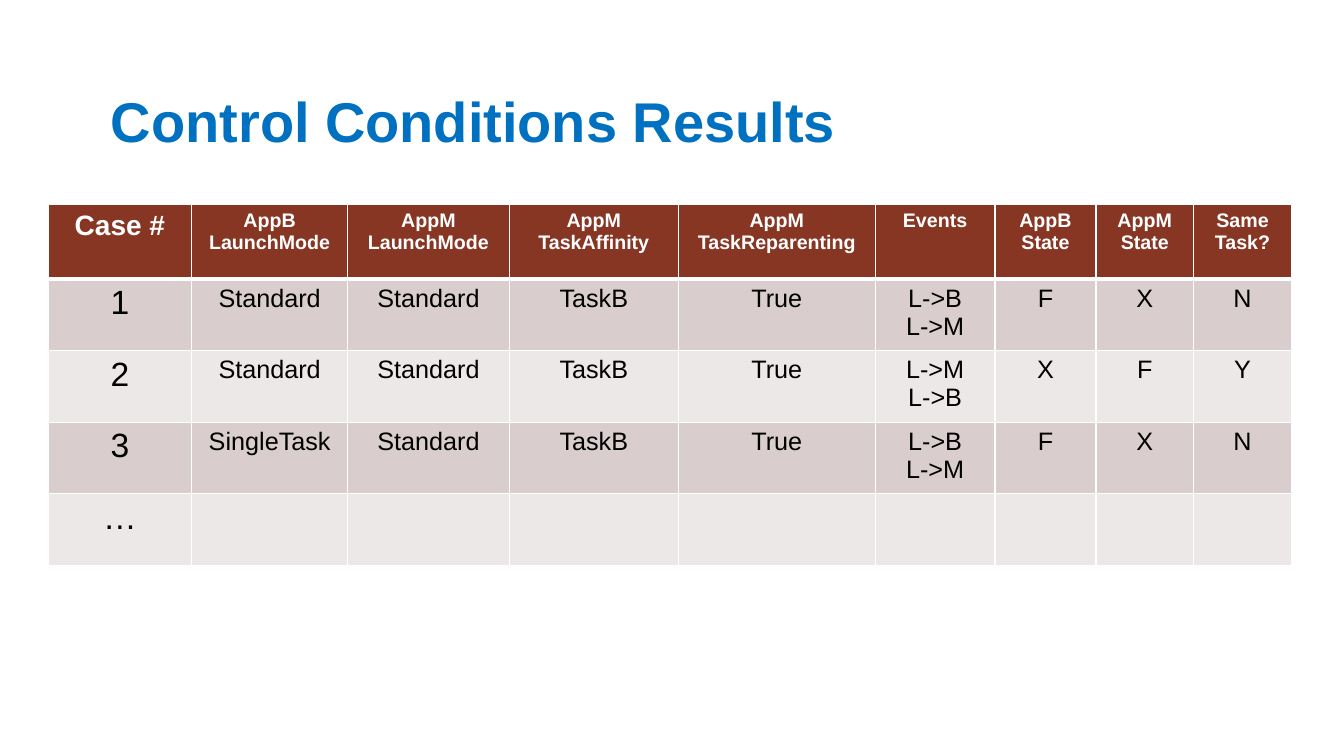
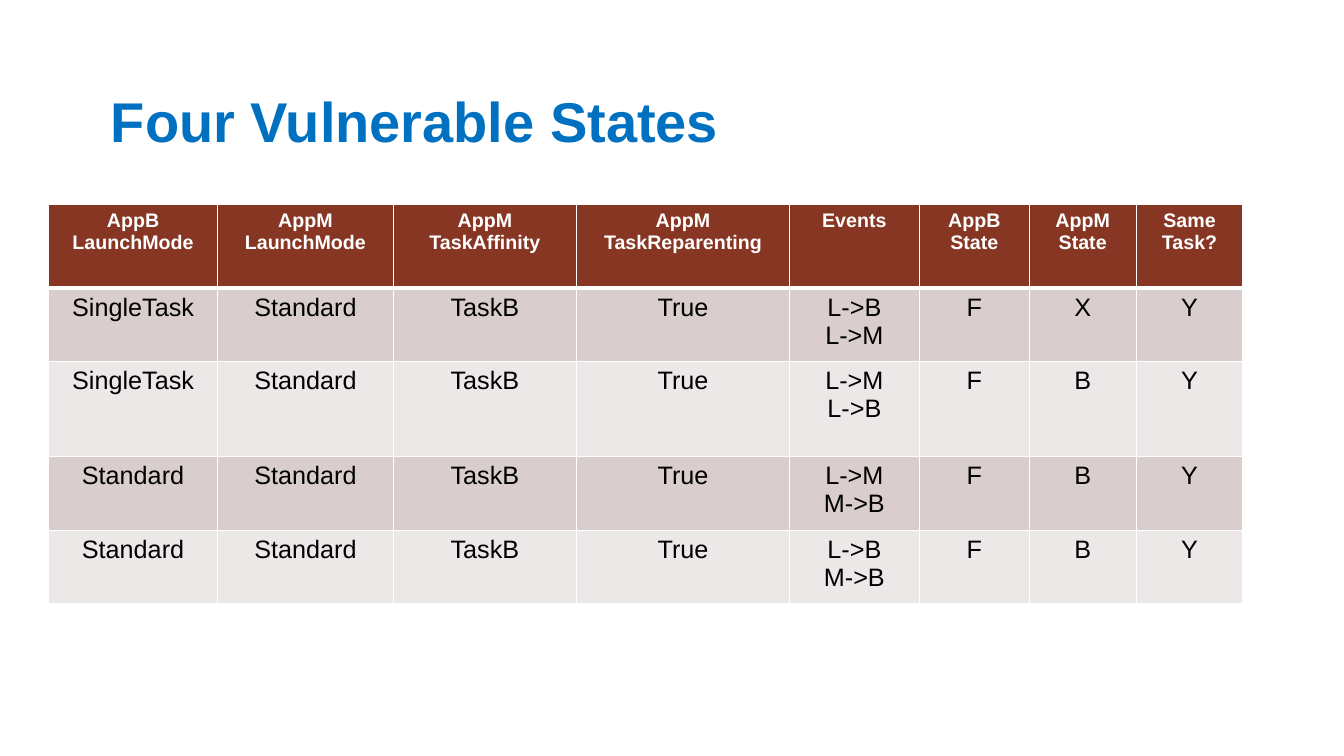
import pptx
import pptx.dml.color
import pptx.enum.text
import pptx.oxml
import pptx.oxml.ns
import pptx.util

Inches = pptx.util.Inches
Pt = pptx.util.Pt
RGBColor = pptx.dml.color.RGBColor

TITLE_BLUE = RGBColor(0x00, 0x70, 0xC0)
HEADER_RED = RGBColor(0x87, 0x36, 0x24)
BAND_DARK = RGBColor(0xD9, 0xCE, 0xCD)
BAND_LIGHT = RGBColor(0xED, 0xE8, 0xE8)
WHITE = RGBColor(0xFF, 0xFF, 0xFF)
BLACK = RGBColor(0x00, 0x00, 0x00)

HEADERS = ["AppB LaunchMode", "AppM LaunchMode", "AppM TaskAffinity",
           "AppM\nTaskReparenting", "Events", "AppB\nState", "AppM\nState",
           "Same Task?"]


class Deck:
    FONT = "Arial"
    TITLE_SIZE = 40
    HEADER_SIZE = 14
    BODY_SIZE = 18
    CASE_HEADER_SIZE = 20
    CASE_SIZE = 24
    THIN, THICK = 1, 3

    def __init__(self):
        self.prs = pptx.Presentation()
        self.prs.slide_width = Inches(13.33)
        self.prs.slide_height = Inches(7.5)
        self.slide = None

    def add_run(self, p, text, size, color, bold):
        r = p.add_run()
        r.text = text
        r.font.name = self.FONT
        r.font.size = Pt(size)
        r.font.bold = bold
        r.font.color.rgb = color

    def add_slide(self, title):
        self.slide = self.prs.slides.add_slide(self.prs.slide_layouts[5])
        sp = self.slide.shapes.title
        sp.left, sp.top = Inches(1), Inches(0.62)
        sp.width, sp.height = Inches(11.31), Inches(1.15)
        tf = sp.text_frame
        tf.word_wrap = True
        tf.auto_size = pptx.enum.text.MSO_AUTO_SIZE.NONE
        tf.vertical_anchor = pptx.enum.text.MSO_ANCHOR.MIDDLE
        tf.margin_left = tf.margin_right = Inches(0.1)
        tf.margin_top = tf.margin_bottom = Inches(0.1)
        p = tf.paragraphs[0]
        p.alignment = pptx.enum.text.PP_ALIGN.LEFT
        self.add_run(p, title, self.TITLE_SIZE, TITLE_BLUE, True)

    def add_borders(self, cell, top, bottom):
        """Draw white cell borders; top and bottom are widths in points."""
        tc_pr = cell._tc.get_or_add_tcPr()
        widths = {"L": self.THIN, "R": self.THIN, "T": top, "B": bottom}
        for side, width in widths.items():
            tc_pr.append(pptx.oxml.parse_xml(
                f'<a:ln{side} {pptx.oxml.ns.nsdecls("a")} w="{Pt(width)}">'
                f'<a:solidFill><a:srgbClr val="{WHITE}"/></a:solidFill>'
                f'</a:ln{side}>'))

    def fill_cell(self, cell, text, row, size):
        header = row == 0
        self.add_borders(cell, self.THICK if row == 1 else self.THIN,
                         self.THICK if header else self.THIN)
        cell.fill.solid()
        cell.fill.fore_color.rgb = (HEADER_RED if header else
                                    BAND_DARK if row % 2 else BAND_LIGHT)
        tf = cell.text_frame
        for i, line in enumerate(text.split("\n") if text else []):
            p = tf.paragraphs[0] if i == 0 else tf.add_paragraph()
            p.alignment = pptx.enum.text.PP_ALIGN.CENTER
            self.add_run(p, line, size, WHITE if header else BLACK, header)

    def add_table(self, widths, heights, rows, case_column=False):
        """Add a banded table; a case column has larger text."""
        table = self.slide.shapes.add_table(
            len(rows), len(widths), Inches(0.48), Inches(2.03),
            Inches(sum(widths)), Inches(sum(heights))).table
        for column, width in zip(table.columns, widths):
            column.width = Inches(width)
        for i, (height, texts) in enumerate(zip(heights, rows)):
            table.rows[i].height = Inches(height)
            for j, text in enumerate(texts):
                if case_column and j == 0:
                    size = self.CASE_SIZE if i else self.CASE_HEADER_SIZE
                else:
                    size = self.BODY_SIZE if i else self.HEADER_SIZE
                self.fill_cell(table.cell(i, j), text, i, size)


def result(launch_mode, events, app_b, app_m, same_task):
    """Return one row; the settings of AppM are the same in every case."""
    return [launch_mode, "Standard", "TaskB", "True", events,
            app_b, app_m, same_task]


def main():
    deck = Deck()

    deck.add_slide("Control Conditions Results")
    deck.add_table(
        [1.42, 1.55, 1.6, 1.68, 1.95, 1.19, 1, 0.97, 0.97],
        [0.74] + [0.71] * 4,
        [["Case #"] + HEADERS,
         ["1"] + result("Standard", "L->B\nL->M", "F", "X", "N"),
         ["2"] + result("Standard", "L->M\nL->B", "X", "F", "Y"),
         ["3"] + result("SingleTask", "L->B\nL->M", "F", "X", "N"),
         ["…"] + [""] * len(HEADERS)],
        case_column=True)

    deck.add_slide("Four Vulnerable States")
    deck.add_table(
        [1.68, 1.74, 1.82, 2.11, 1.29, 1.09, 1.06, 1.06],
        [0.83, 0.73, 0.94, 0.73, 0.73],
        [HEADERS,
         result("SingleTask", "L->B\nL->M", "F", "X", "Y"),
         result("SingleTask", "L->M\nL->B", "F", "B", "Y"),
         result("Standard", "L->M\nM->B", "F", "B", "Y"),
         result("Standard", "L->B\nM->B", "F", "B", "Y")])

    deck.prs.save("out.pptx")


if __name__ == "__main__":
    main()
